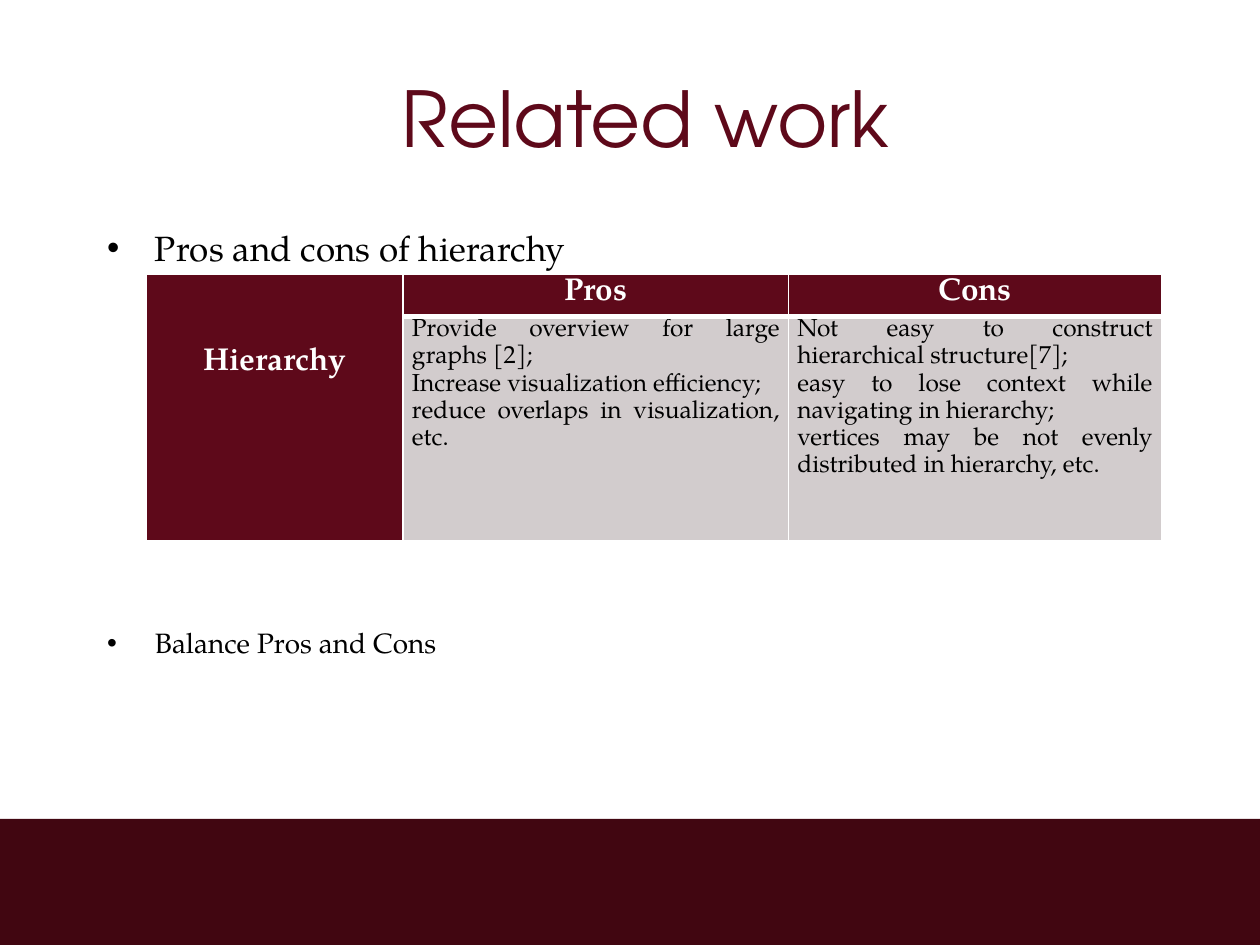
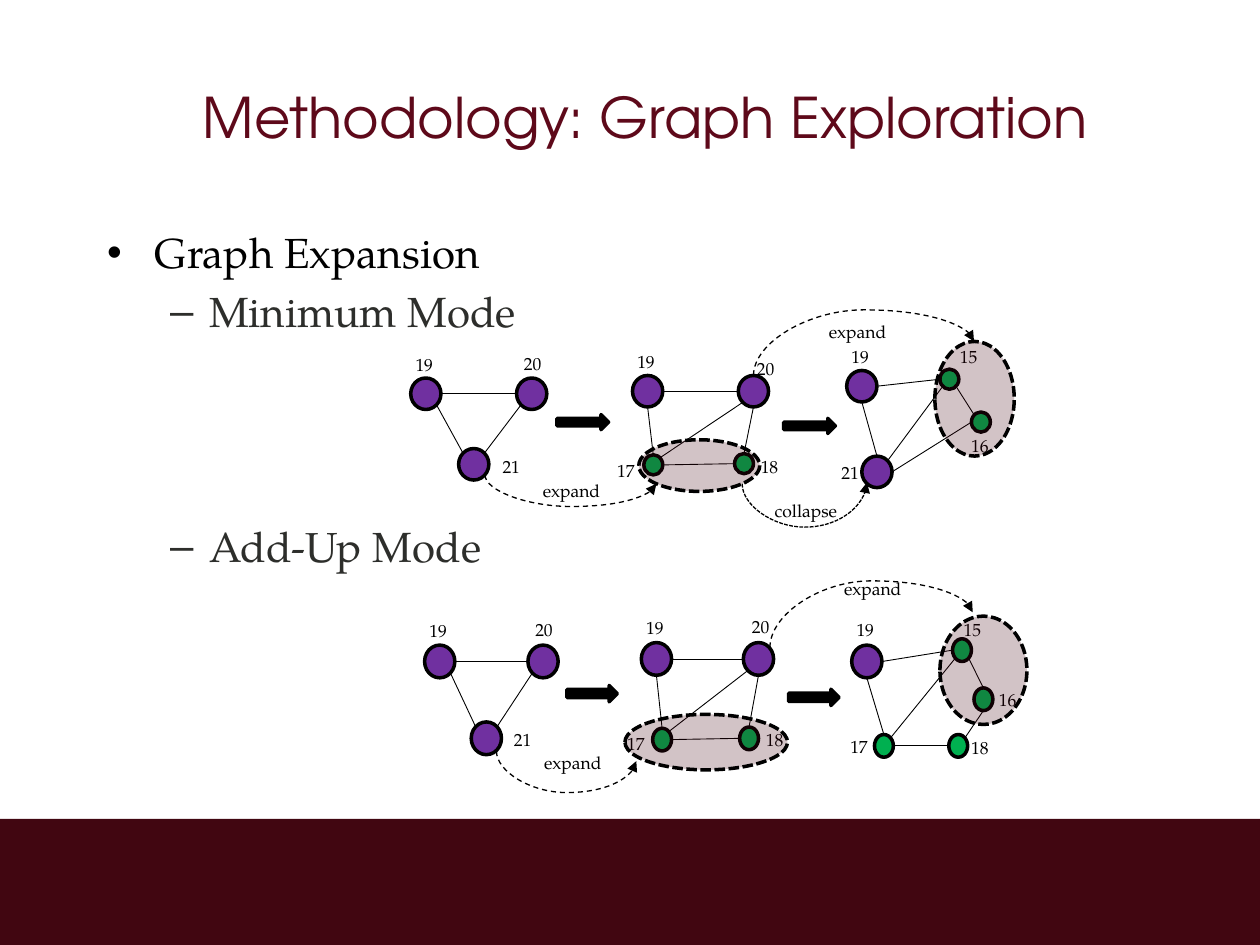
"""Builds two slides about hierarchical graph visualization."""
from dataclasses import dataclass
from math import sqrt

from lxml import etree
from pptx import Presentation
from pptx.dml.color import RGBColor
from pptx.enum.dml import MSO_LINE
from pptx.enum.shapes import MSO_CONNECTOR, MSO_SHAPE
from pptx.enum.text import MSO_ANCHOR, MSO_AUTO_SIZE, PP_ALIGN
from pptx.oxml.ns import qn
from pptx.util import Inches, Pt

CENTER, JUSTIFY, LEFT = PP_ALIGN.CENTER, PP_ALIGN.JUSTIFY, PP_ALIGN.LEFT
MIDDLE, TOP = MSO_ANCHOR.MIDDLE, MSO_ANCHOR.TOP
STRAIGHT, CURVE = MSO_CONNECTOR.STRAIGHT, MSO_CONNECTOR.CURVE
DASH, SHORT_DASH = MSO_LINE.DASH, MSO_LINE.SQUARE_DOT
CIRCLE, OVAL = MSO_SHAPE.FLOWCHART_CONNECTOR, MSO_SHAPE.OVAL
RIGHT_ARROW, RECTANGLE = MSO_SHAPE.RIGHT_ARROW, MSO_SHAPE.RECTANGLE

TITLE_FONT, BODY_FONT = "TeX Gyre Adventor", "TeX Gyre Pagella"
BLACK, WHITE, GRAY = "000000", "FFFFFF", "2D2E2B"
WINE, BAND, HALO, CELL = "5E091A", "410611", "460714", "D2CCCD"
PURPLE, GREEN = "7030A0", "00B050"

DIAGONAL = sqrt(0.5)
SITES = {
    "N": (0, -1), "S": (0, 1), "W": (-1, 0), "E": (1, 0),
    "NW": (-DIAGONAL, -DIAGONAL), "NE": (DIAGONAL, -DIAGONAL),
    "SW": (-DIAGONAL, DIAGONAL), "SE": (DIAGONAL, DIAGONAL),
}
Box = tuple[float, float, float, float]


@dataclass
class Node:
    """A graph vertex; its key is a stage letter and its number."""
    key: str
    left: float
    top: float
    label_left: float
    label_top: float
    color: str = PURPLE


@dataclass
class Bend:
    """A dashed arrow that turns at one height."""
    start: tuple[float, float]
    end: tuple[float, float]
    turn: float
    dash: object = DASH


@dataclass
class Mode:
    """One row of graph stages."""
    big: tuple[float, float]
    small: tuple[float, float]
    nodes: list[Node]
    edges: str
    arrows: list[Box]
    halos: list[Box]
    bends: list[Bend]
    captions: list[tuple[str, float, float]]


COMMON_EDGES = """a19.E-a20.W a19.SE-a21.NW a21.NE-a20.SW b19.S-b17.N b19.E-b20.W
b17.NE-b20.SW b17.E-b18.W b18.N-b20.S c19.E-c15.W """

MINIMUM_MODE = Mode(
    big=(0.24, 0.25), small=(0.15, 0.16),
    nodes=[
        Node("a19", 3.26, 3, 3.2, 2.76), Node("a20", 4.1, 3, 4.06, 2.75),
        Node("a21", 3.64, 3.56, 3.89, 3.57),
        Node("b19", 5.02, 2.98, 4.96, 2.74), Node("b20", 5.86, 2.98, 5.91, 2.79),
        Node("b17", 5.11, 3.61, 4.8, 3.6, GREEN),
        Node("b18", 5.83, 3.6, 5.94, 3.57, GREEN),
        Node("c19", 6.72, 2.94, 6.66, 2.7), Node("c21", 6.84, 3.62, 6.58, 3.62),
        Node("c15", 7.46, 2.93, 7.52, 2.7, GREEN),
        Node("c16", 7.71, 3.27, 7.61, 3.4, GREEN),
    ],
    edges=COMMON_EDGES + "c19.S-c21.N c15.SW-c21.NE c15.SE-c16.NW c16.W-c21.E",
    arrows=[(4.42, 3.29, 0.41, 0.12), (6.22, 3.32, 0.41, 0.12)],
    halos=[(5.07, 3.49, 0.96, 0.41), (7.42, 2.71, 0.63, 0.91)],
    bends=[
        Bend((5.89, 3.84), (6.88, 3.83), 4.19, SHORT_DASH),
        Bend((5.98, 2.98), (7.73, 2.71), 2.46),
        Bend((3.85, 3.77), (5.21, 3.84), 4.02),
    ],
    captions=[("collapse", 6.05, 3.92), ("expand", 6.48, 2.5), ("expand", 4.21, 3.76)],
)

ADD_UP_MODE = Mode(
    big=(0.24, 0.26), small=(0.15, 0.18),
    nodes=[
        Node("a19", 3.37, 5.12, 3.31, 4.87), Node("a20", 4.19, 5.12, 4.15, 4.86),
        Node("a21", 3.74, 5.73, 3.98, 5.74),
        Node("b19", 5.09, 5.1, 5.03, 4.85), Node("b20", 5.9, 5.1, 5.87, 4.84),
        Node("b17", 5.18, 5.78, 4.88, 5.77, GREEN),
        Node("b18", 5.87, 5.77, 5.98, 5.74, GREEN),
        Node("c19", 6.76, 5.12, 6.7, 4.86),
        Node("c15", 7.56, 5.07, 7.55, 4.86, GREEN),
        Node("c16", 7.73, 5.46, 7.83, 5.42, GREEN),
        Node("c17", 6.94, 5.83, 6.65, 5.79, GREEN),
        Node("c18", 7.53, 5.83, 7.61, 5.8, GREEN),
    ],
    edges=COMMON_EDGES + "c19.S-c17.N c15.SW-c17.NE c15.SE-c16.N c16.S-c18.NE c17.E-c18.W",
    arrows=[(4.5, 5.44, 0.4, 0.13), (6.26, 5.47, 0.4, 0.13)],
    halos=[(4.96, 5.67, 1.29, 0.44), (7.46, 4.89, 0.69, 0.86)],
    bends=[
        Bend((3.94, 5.96), (5.05, 6.04), 6.29),
        Bend((6.11, 5.14), (7.72, 4.86), 4.61),
    ],
    captions=[("expand", 6.6, 4.54), ("expand", 4.22, 5.92)],
)


def rgb(color: str) -> RGBColor:
    """Turn a hex string into a colour."""
    return RGBColor.from_string(color)


def write(frame, text: str, *, size: float, color: str = BLACK, font: str = BODY_FONT,
          bold: bool = False, align=LEFT, before: float = 0, line_spacing: float = 1,
          level: int = 0, indent: tuple[float, float] | None = None) -> None:
    """Write one formatted paragraph at the end of a text frame."""
    paragraph = frame.paragraphs[-1]
    if paragraph.runs:
        paragraph = frame.add_paragraph()
    paragraph.level, paragraph.alignment = level, align
    paragraph.space_before, paragraph.line_spacing = Pt(before), line_spacing
    if indent:
        properties = paragraph._p.get_or_add_pPr()
        for name, length in zip(("marL", "indent"), indent):
            properties.set(name, str(Inches(length)))
    run = paragraph.add_run()
    run.text = text
    run.font.name, run.font.size, run.font.bold = font, Pt(size), bold
    run.font.color.rgb = rgb(color)


def place(shape, box: Box) -> None:
    """Move a shape to a box in inches."""
    shape.left, shape.top, shape.width, shape.height = map(Inches, box)


def add_shape(slide, kind, box: Box, fill: str, line: float = 0, alpha: int = 100, dash=None):
    """Add a filled preset shape with an optional black outline."""
    shape = slide.shapes.add_shape(kind, *map(Inches, box))
    shape.shadow.inherit = False
    shape.fill.solid()
    shape.fill.fore_color.rgb = rgb(fill)
    if alpha < 100:
        color = shape._element.spPr.find(".//" + qn("a:srgbClr"))
        etree.SubElement(color, qn("a:alpha"), val=str(alpha * 1000))
    if line:
        shape.line.color.rgb, shape.line.width = rgb(BLACK), Pt(line)
        if dash:
            shape.line.dash_style = dash
    else:
        shape.line.fill.background()
    return shape


def add_line(slide, kind, start: tuple[float, float], end: tuple[float, float],
             width: float, dash=None):
    """Add a black connector without a shadow."""
    connector = slide.shapes.add_connector(kind, *map(Inches, (*start, *end)))
    connector.line.color.rgb, connector.line.width = rgb(BLACK), Pt(width)
    if dash:
        connector.line.dash_style = dash
    etree.SubElement(connector._element.spPr, qn("a:effectLst"))
    return connector


def add_bend(slide, bend: Bend) -> None:
    """Add a curved arrow as a connector turned by a quarter."""
    (x1, y1), (x2, y2) = bend.start, bend.end
    middle_x, middle_y = (x1 + x2) / 2, (y1 + y2) / 2
    half_width, half_height = (x2 - x1) / 2, (y2 - y1) / 2
    connector = add_line(slide, CURVE, (middle_x - half_height, middle_y + half_width),
                         (middle_x + half_height, middle_y - half_width), 0.75, bend.dash)
    properties = connector._element.spPr
    properties.find(qn("a:xfrm")).set("rot", str(90 * 60000))
    adjustment = round((bend.turn - y1) / (y2 - y1) * 100000)
    etree.SubElement(properties.find(".//" + qn("a:avLst")), qn("a:gd"),
                     name="adj1", fmla=f"val {adjustment}")
    etree.SubElement(properties.find(qn("a:ln")), qn("a:tailEnd"), type="triangle")


def add_label(slide, text: str, left: float, top: float, width: float) -> None:
    """Add a small text label."""
    frame = slide.shapes.add_textbox(*map(Inches, (left, top, width, 0.27))).text_frame
    frame.word_wrap = True
    write(frame, text, size=10)


def add_mode(slide, mode: Mode) -> None:
    """Draw the stages of one expansion mode."""
    boxes = {}
    for node in mode.nodes:
        size = mode.big if node.color == PURPLE else mode.small
        boxes[node.key] = (node.left, node.top, *size)
        add_shape(slide, CIRCLE, boxes[node.key], node.color, line=2)
        add_label(slide, node.key[1:], node.label_left, node.label_top, 0.37)

    def site(name: str) -> tuple[float, float]:
        """Find a point such as a19.E on the edge of a node."""
        key, side = name.split(".")
        left, top, width, height = boxes[key]
        across, down = SITES[side]
        return left + width / 2 * (1 + across), top + height / 2 * (1 + down)

    for edge in mode.edges.split():
        start, end = edge.split("-")
        add_line(slide, STRAIGHT, site(start), site(end), 0.5)
    for box in mode.arrows:
        add_shape(slide, RIGHT_ARROW, box, BLACK, line=2)
    for box in mode.halos:
        add_shape(slide, OVAL, box, HALO, line=2, alpha=24, dash=SHORT_DASH)
    for bend in mode.bends:
        add_bend(slide, bend)
    for caption, left, top in mode.captions:
        add_label(slide, caption, left, top, 0.79)


def set_borders(cell, bottom: float) -> None:
    """Give a cell thin white borders and a bottom border of its own width."""
    properties = cell._tc.get_or_add_tcPr()
    widths = {"a:lnL": 1, "a:lnR": 1, "a:lnT": 1, "a:lnB": bottom}
    for position, (tag, width) in enumerate(widths.items()):
        line = etree.Element(qn(tag), w=str(Pt(width)))
        fill = etree.SubElement(line, qn("a:solidFill"))
        etree.SubElement(fill, qn("a:srgbClr"), val=WHITE)
        properties.insert(position, line)


def add_hierarchy_table(slide) -> None:
    """Add the table of pros and cons."""
    rows = [
        [["Hierarchy"], ["Pros"], ["Cons"]],
        [[],
         ["Provide overview for large graphs [2];", "Increase visualization efficiency;",
          "reduce overlaps in visualization, etc."],
         ["Not easy to construct hierarchical structure[7];",
          "easy to lose context while navigating in hierarchy;",
          "vertices may be not evenly distributed in hierarchy, etc."]],
    ]
    table = slide.shapes.add_table(2, 3, *map(Inches, (1.16, 2.18, 8.06, 2.11))).table
    for column, width in zip(table.columns, (2.04, 3.06, 2.96)):
        column.width = Inches(width)
    for row, height in zip(table.rows, (0.33, 1.78)):
        row.height = Inches(height)
    table.cell(0, 0).merge(table.cell(1, 0))
    for row_index, row in enumerate(rows):
        for column_index, lines in enumerate(row):
            cell = table.cell(row_index, column_index)
            heading = row_index == 0 or column_index == 0
            cell.margin_left = cell.margin_right = Inches(0.07)
            cell.margin_top = cell.margin_bottom = 0
            cell.fill.solid()
            cell.fill.fore_color.rgb = rgb(WINE if heading else CELL)
            set_borders(cell, bottom=3 if row_index == 0 and column_index else 1)
            for line in lines:
                write(cell.text_frame, line, size=18 if heading else 14, bold=heading,
                      color=WHITE if heading else BLACK,
                      align=CENTER if heading else JUSTIFY, line_spacing=1.1)
    table.cell(0, 0).margin_top = Inches(0.56)


def add_slide(presentation, title: str, title_size: float, body_height: float):
    """Add a slide with the band and a title; return it with its body frame."""
    slide = presentation.slides.add_slide(presentation.slide_layouts[1])
    add_shape(slide, RECTANGLE, (0, 6.5, 10, 1), BAND)
    heading, body = slide.placeholders
    place(heading, (0.75, 0.3, 8.75, 1.25))
    place(body, (0.75, 1.75, 8.75, body_height))
    for placeholder, anchor in ((heading, MIDDLE), (body, TOP)):
        placeholder.text_frame.auto_size = MSO_AUTO_SIZE.NONE
        placeholder.text_frame.vertical_anchor = anchor
    write(heading.text_frame, title, size=title_size, color=WINE, font=TITLE_FONT, align=CENTER)
    return slide, body.text_frame


def main() -> None:
    """Build and save the presentation."""
    presentation = Presentation()
    presentation.slide_width, presentation.slide_height = Inches(10), Inches(7.5)
    first_level, second_level = (0.38, -0.38), (0.81, -0.31)

    slide, body = add_slide(presentation, "Related work", 44, 4.62)
    write(body, "Pros and cons of hierarchy", size=20, indent=first_level)
    write(body, "Balance Pros and Cons", size=16, indent=first_level, before=204)
    add_hierarchy_table(slide)

    slide, body = add_slide(presentation, "Methodology: Graph Exploration", 32, 4.32)
    write(body, "Graph Expansion", size=24, indent=first_level)
    for text, before in (("Minimum Mode", 4.8), ("Add-Up Mode", 105.5)):
        write(body, text, size=24, color=GRAY, level=1, indent=second_level, before=before)
    for mode in (MINIMUM_MODE, ADD_UP_MODE):
        add_mode(slide, mode)

    presentation.save("out.pptx")


if __name__ == "__main__":
    main()
